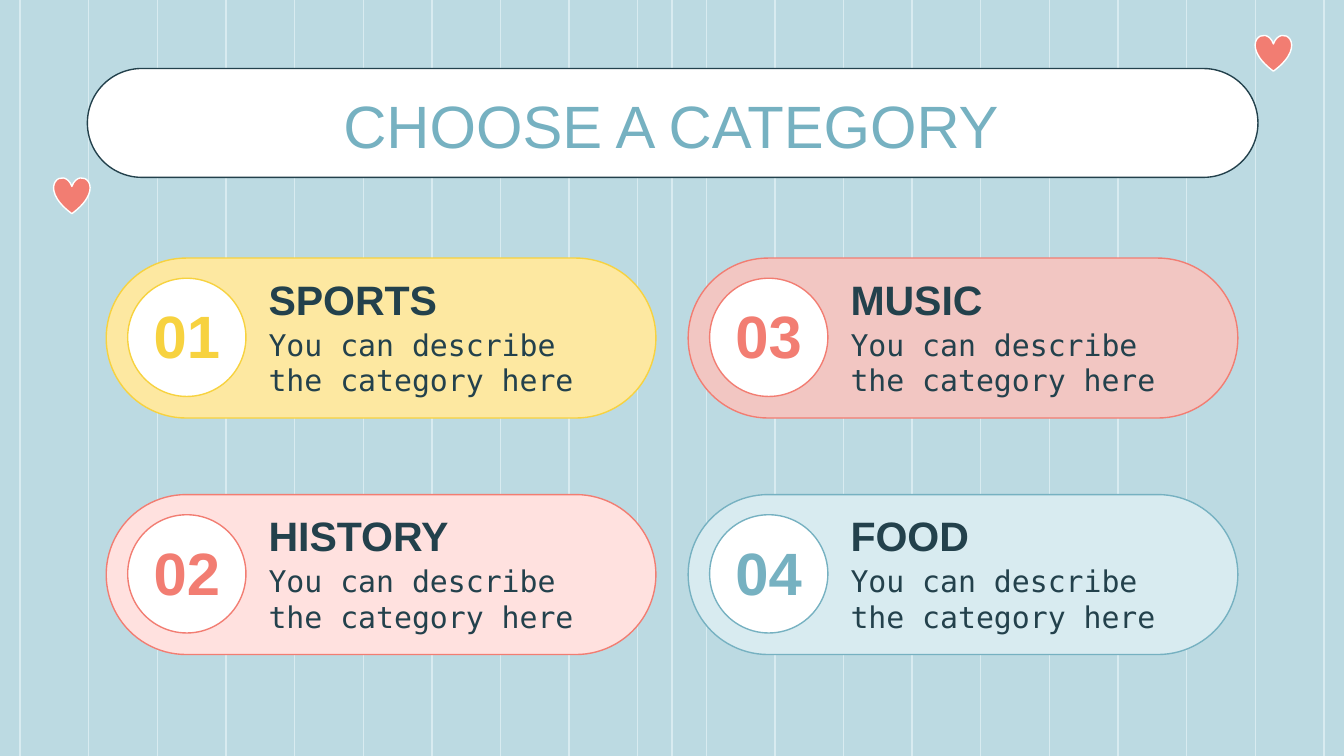
from lxml.etree import SubElement
from pptx import Presentation
from pptx.dml.color import RGBColor
from pptx.enum.shapes import MSO_CONNECTOR, MSO_SHAPE
from pptx.enum.text import MSO_ANCHOR, MSO_AUTO_SIZE, PP_ALIGN
from pptx.oxml.ns import qn
from pptx.util import Inches, Pt

COLORS = {
    "background": "BCDAE2",
    "stripe": "D8EBF0",
    "white": "FFFFFF",
    "ink": "23414C",
    "coral": "F27D72",
    "rose": "F2C6C2",
    "blush": "FFE1DF",
    "yellow": "F7D23F",
    "cream": "FDE8A1",
    "teal": "76B1C1",
    "ice": "D8EBF0",
}
WIDTH = 10
HEIGHT = WIDTH * 9 / 16
STRIPE_COUNT = 20
STRIPE_MARGIN = 0.15
COLUMNS = (0.79, 5.12)
ROWS = (1.92, 3.68)
DESCRIPTION = "You can describe the category here"
CATEGORIES = [
    ("01", "SPORTS", "cream", "yellow"),
    ("02", "HISTORY", "blush", "coral"),
    ("03", "MUSIC", "rose", "coral"),
    ("04", "FOOD", "ice", "teal"),
]


def color(name):
    return RGBColor.from_string(COLORS[name])


def add_stripe(slide, x):
    stripe = slide.shapes.add_connector(
        MSO_CONNECTOR.STRAIGHT, Inches(x), Inches(0), Inches(x), Inches(HEIGHT)
    )
    stripe.line.color.rgb = color("stripe")
    stripe.line.width = Pt(0.75)
    SubElement(stripe._element.spPr, qn("a:effectLst"))


def add_figure(slide, preset, left, top, width, height, fill, outline):
    figure = slide.shapes.add_shape(
        preset, Inches(left), Inches(top), Inches(width), Inches(height)
    )
    figure.shadow.inherit = False
    figure.fill.solid()
    figure.fill.fore_color.rgb = color(fill)
    figure.line.color.rgb = color(outline)
    figure.line.width = Pt(0.75)
    return figure


def add_pill(slide, left, top, width, height, fill, outline):
    pill = add_figure(
        slide, MSO_SHAPE.ROUNDED_RECTANGLE, left, top, width, height, fill, outline
    )
    pill.adjustments[0] = 0.5


def format_text(holder, text, size, ink, font="Arial", bold=False,
                align=PP_ALIGN.LEFT, anchor=MSO_ANCHOR.MIDDLE):
    frame = holder.text_frame
    frame.text = text
    frame.word_wrap = True
    frame.auto_size = MSO_AUTO_SIZE.NONE
    frame.vertical_anchor = anchor
    frame.margin_left = frame.margin_right = Inches(0.1)
    frame.margin_top = frame.margin_bottom = Inches(0.1)
    paragraph = frame.paragraphs[0]
    paragraph.alignment = align
    paragraph.line_spacing = 1.0
    paragraph.space_before = Pt(0)
    for run in paragraph.runs:
        run.font.name = font
        run.font.size = Pt(size)
        run.font.bold = bold
        run.font.color.rgb = color(ink)


def add_label(slide, left, top, width, height, text, size, ink, **style):
    label = slide.shapes.add_textbox(
        Inches(left), Inches(top), Inches(width), Inches(height)
    )
    format_text(label, text, size, ink, **style)


def add_title(slide, text):
    title = slide.shapes.title
    title.left, title.top = Inches(1.31), Inches(0.56)
    title.width, title.height = Inches(7.37), Inches(0.65)
    format_text(title, text, 32, "teal", align=PP_ALIGN.CENTER, anchor=MSO_ANCHOR.TOP)
    slide.shapes._spTree.append(title._element)


def add_category(slide, left, top, number, name, fill, accent):
    add_pill(slide, left, top, 4.09, 1.19, fill, accent)
    add_figure(
        slide, MSO_SHAPE.OVAL, left + 0.16, top + 0.15, 0.88, 0.88, "white", accent
    )
    add_label(slide, left + 0.18, top + 0.28, 0.84, 0.58, number, 32, accent,
              bold=True, align=PP_ALIGN.CENTER)
    add_label(slide, left + 1.11, top + 0.1, 2.69, 0.41, name, 22, "ink", bold=True)
    add_label(slide, left + 1.11, top + 0.54, 2.69, 0.47, DESCRIPTION, 16, "ink",
              font="DejaVu Sans Mono")


def main():
    presentation = Presentation()
    presentation.slide_width = Inches(WIDTH)
    presentation.slide_height = Inches(HEIGHT)
    slide = presentation.slides.add_slide(presentation.slide_layouts[5])
    slide.background.fill.solid()
    slide.background.fill.fore_color.rgb = color("background")

    stripe_gap = (WIDTH - 2 * STRIPE_MARGIN) / (STRIPE_COUNT - 1)
    add_stripe(slide, WIDTH / 2)
    for index in range(STRIPE_COUNT):
        add_stripe(slide, STRIPE_MARGIN + index * stripe_gap)

    add_pill(slide, 0.65, 0.51, 8.71, 0.81, "white", "ink")
    for left, top in ((0.4, 1.32), (9.34, 0.26)):
        add_figure(slide, MSO_SHAPE.HEART, left, top, 0.27, 0.27, "coral", "white")
    add_title(slide, "CHOOSE A CATEGORY")

    for index, category in enumerate(CATEGORIES):
        column, row = divmod(index, len(ROWS))
        add_category(slide, COLUMNS[column], ROWS[row], *category)

    presentation.save("out.pptx")


if __name__ == "__main__":
    main()
